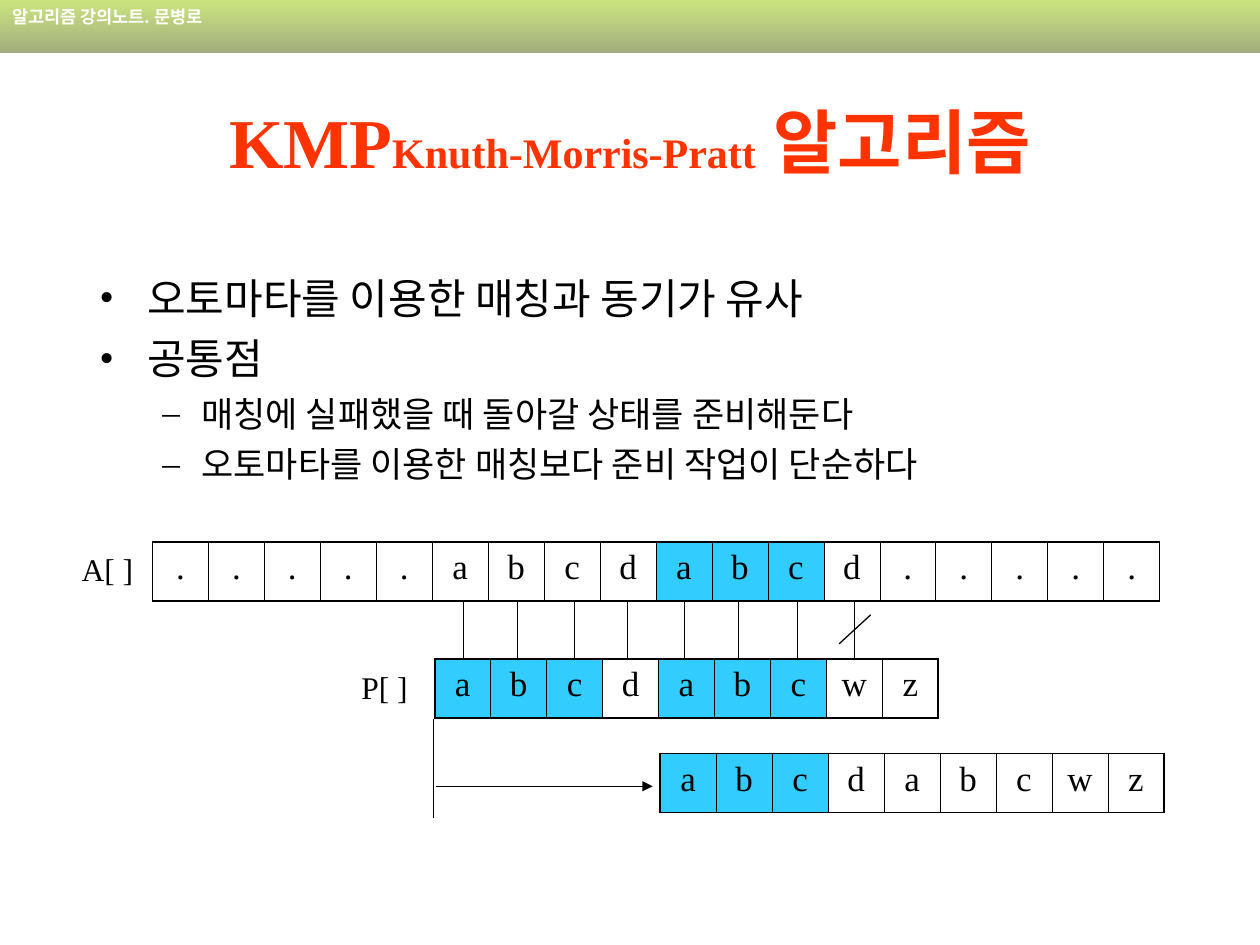
from lxml.etree import SubElement as Sub
from pptx import Presentation
from pptx.dml.color import RGBColor
from pptx.enum.shapes import MSO_CONNECTOR as Link, MSO_SHAPE as Shape
from pptx.enum.text import MSO_ANCHOR as Anchor, MSO_AUTO_SIZE as Fit, PP_ALIGN as Align
from pptx.oxml.ns import qn
from pptx.util import Inches, Pt

SERIF, SANS = "Times New Roman", "Noto Sans CJK KR"
BLACK, WHITE, RED, BLUE = "000000", "FFFFFF", "FF3300", "33CCFF"


def tint(code):
    return RGBColor.from_string(code)


def write(para, text, size=18, font=SERIF, color=BLACK, bold=False, align=None, before=0):
    para.space_before = Pt(before)
    if align is not None:
        para.alignment = align
    run = para.add_run()
    run.text = text
    face = run.font
    face.size, face.name, face.bold = Pt(size), font, bold
    face.color.rgb = tint(color)
    Sub(face._element, qn("a:ea"), typeface=SANS)


def bullet(para, mark, left, hang):
    props = para._p.get_or_add_pPr()
    props.set("marL", str(Inches(left)))
    props.set("indent", str(-Inches(hang)))
    Sub(Sub(props, qn("a:buClr")), qn("a:srgbClr"), val=BLACK)
    Sub(props, qn("a:buFont"), typeface=SERIF)
    Sub(props, qn("a:buChar"), char=mark)


def edge(cell, side, width):
    line = Sub(cell._tc.get_or_add_tcPr(), qn("a:ln" + side), w=str(Pt(width)))
    Sub(Sub(line, qn("a:solidFill")), qn("a:srgbClr"), val=BLACK)


class Sheet:
    cell, high = 8 / 18, 0.47
    thin, thick, rule = 0.45, 1.08, 0.75

    def __init__(self, deck):
        self.slide = deck.slides.add_slide(deck.slide_layouts[5])
        self.shapes = self.slide.shapes

    def band(self, text, height):
        bar = self.shapes.add_shape(Shape.RECTANGLE, 0, 0, Inches(10), Inches(height))
        bar.shadow.inherit = False
        bar.line.fill.background()
        bar.fill.gradient()
        bar.fill.gradient_angle = 270
        for stop, code, place in zip(bar.fill.gradient_stops, ("99CC00", "475E00"), (0, 1)):
            stop.color.rgb = tint(code)
            stop.position = place
        for node in bar._element.spPr.iter(qn("a:srgbClr")):
            Sub(node, qn("a:alpha"), val="50000")
        bar.text_frame.vertical_anchor = Anchor.TOP
        write(bar.text_frame.paragraphs[0], text, size=10, font=SANS,
              color=WHITE, bold=True, align=Align.LEFT)

    def title(self, parts, *box):
        head = self.shapes.title
        head.left, head.top, head.width, head.height = map(Inches, box)
        frame = head.text_frame
        frame.auto_size, frame.vertical_anchor = Fit.NONE, Anchor.MIDDLE
        for text, size in parts:
            write(frame.paragraphs[0], text, size=size, color=RED,
                  bold=True, align=Align.CENTER)

    def text(self, *box, wrap=True):
        frame = self.shapes.add_textbox(*map(Inches, box)).text_frame
        frame.word_wrap = wrap
        return frame

    def label(self, text, *box):
        write(self.text(*box, wrap=False).paragraphs[0], text)

    def points(self, items, *box):
        frame = self.text(*box)
        for num, (level, text) in enumerate(items):
            para = frame.add_paragraph() if num else frame.paragraphs[0]
            para.level = level
            mark, left, hang, size, gap = (("•", 0.38, 0.38, 24, 6),
                                           ("–", 0.81, 0.31, 20, 5))[level]
            write(para, text, size=size, before=gap if num else 0)
            bullet(para, mark, left, hang)

    def array(self, text, marked, left, top):
        count = len(text)
        grid = self.shapes.add_table(1, count, Inches(left), Inches(top),
                                     Inches(count * self.cell), Inches(self.high)).table
        grid.first_row = grid.horz_banding = False
        for num, char in enumerate(text):
            grid.columns[num].width = Inches(self.cell)
            cell = grid.cell(0, num)
            write(cell.text_frame.paragraphs[0], char, size=20, align=Align.CENTER)
            edge(cell, "L", self.thin if num else self.thick)
            edge(cell, "R", self.thin if num < count - 1 else self.thick)
            edge(cell, "T", self.thick)
            edge(cell, "B", self.thick)
            if num in marked:
                cell.fill.solid()
                cell.fill.fore_color.rgb = tint(BLUE)
            else:
                cell.fill.background()

    def line(self, *ends, arrow=False):
        link = self.shapes.add_connector(Link.STRAIGHT, *map(Inches, ends))
        link.line.width = Pt(self.rule)
        link.line.color.rgb = tint(BLACK)
        if arrow:
            Sub(link.line._get_or_add_ln(), qn("a:tailEnd"), type="triangle")
        Sub(link._element.spPr, qn("a:effectLst"))


def main():
    deck = Presentation()
    deck.slide_width, deck.slide_height = Inches(10), Inches(7.5)
    page = Sheet(deck)
    page.band("알고리즘 강의노트. 문병로", 0.42)
    page.title([("KMP", 40), ("Knuth-Morris-Pratt", 24), (" 알고리즘", 40)],
               0.75, 0.49, 8.5, 1.25)
    page.points([(0, "오토마타를 이용한 매칭과 동기가 유사"),
                 (0, "공통점"),
                 (1, "매칭에 실패했을 때 돌아갈 상태를 준비해둔다"),
                 (1, "오토마타를 이용한 매칭보다 준비 작업이 단순하다")],
                0.69, 2.11, 8.5, 2.01)

    page.array(".....abcdabcd.....", (9, 10, 11), 1.21, 4.3)
    page.array("abcdabcwz", (0, 1, 2, 4, 5, 6), 3.45, 5.23)
    page.array("abcdabcwz", (0, 1, 2), 5.24, 5.98)

    for left in (3.68, 4.11, 4.56, 4.98, 5.43, 5.86, 6.33, 6.78):
        page.line(left, 4.76, left, 5.24)
    page.line(6.91, 4.88, 6.66, 5.11)
    page.line(3.46, 6.24, 5.18, 6.24, arrow=True)
    page.line(3.44, 5.71, 3.44, 6.49)

    page.label("A[ ]", 0.55, 4.32, 0.61, 0.4)
    page.label("P[ ]", 2.77, 5.25, 0.66, 0.4)
    deck.save("out.pptx")


if __name__ == "__main__":
    main()
